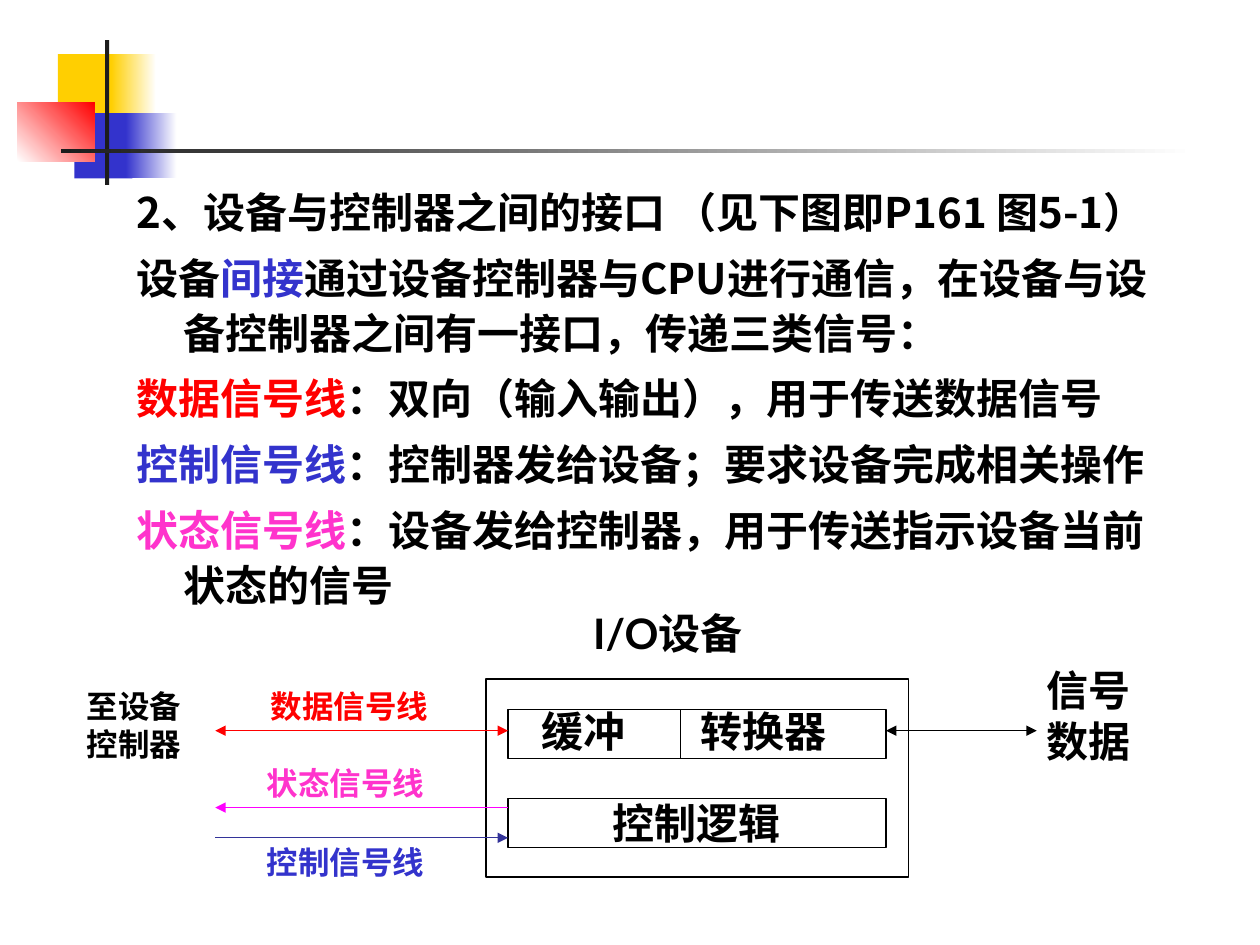
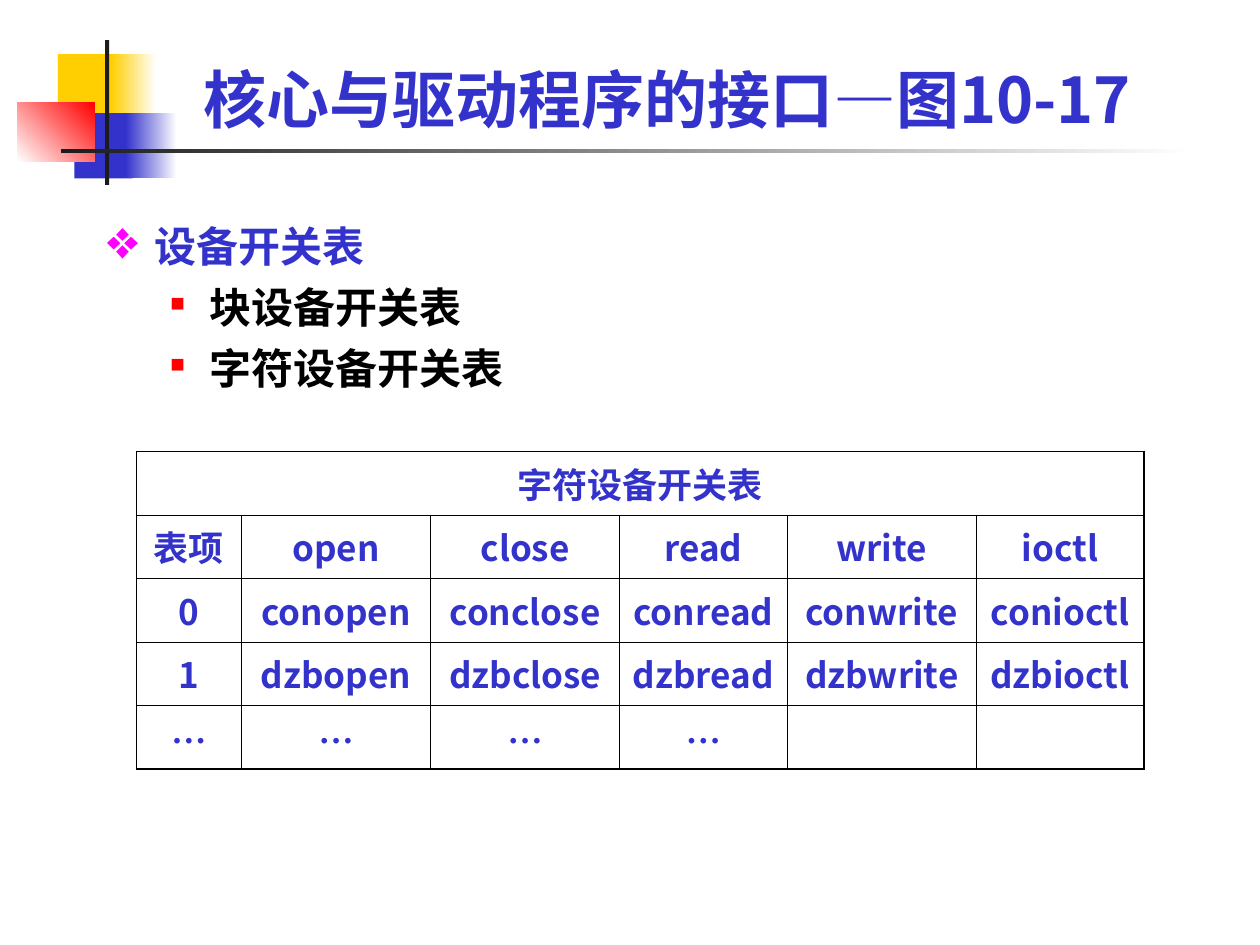
from dataclasses import dataclass

from lxml.etree import SubElement
from pptx import Presentation
from pptx.dml.color import RGBColor
from pptx.enum.shapes import MSO_CONNECTOR as Connector, MSO_SHAPE as Shape
from pptx.enum.text import MSO_ANCHOR as Anchor, PP_ALIGN as Align
from pptx.oxml.ns import qn
from pptx.util import Cm, Pt


@dataclass(frozen=True)
class Theme:
    black: str = "000000"
    white: str = "FFFFFF"
    ink: str = "1C1C1C"
    blue: str = "3333CC"
    navy: str = "333399"
    red: str = "FF0000"
    pink: str = "FF33CC"
    magenta: str = "FF00FF"
    yellow: str = "FFCF01"
    sans: str = "Lato"
    chinese: str = "Noto Sans CJK SC"
    serif: str = "Times New Roman"
    title: int = 36
    body: int = 24
    cell: int = 20
    label: int = 18


THEME = Theme()

DECORATION = [
    ((1.17, 1.09, 1.22, 1.32), THEME.yellow, None, 0),
    ((2.24, 1.09, 0.91, 1.32), THEME.yellow, THEME.white, 0),
    ((1.5, 2.28, 1.17, 1.32), THEME.blue, None, 0),
    ((2.54, 2.28, 1.02, 1.32), THEME.blue, THEME.white, 0),
    ((0.35, 2.07, 1.56, 1.18), THEME.white, THEME.red, 45),
    ((2.12, 0.81, 0.08, 2.92), THEME.ink, None, 0),
    ((1.23, 3, 22.86, 0.08), THEME.ink, THEME.white, 0),
]

INTERFACE_TEXT = [
    [("2、设备与控制器之间的接口 （见下图即P161 图5-1）", THEME.black)],
    [("设备", THEME.black), ("间接", THEME.blue),
     ("通过设备控制器与CPU进行通信，在设备与设备控制器之间有一接口，传递三类信号：", THEME.black)],
    [("数据信号线", THEME.red), ("：双向（输入输出），用于传送数据信号", THEME.black)],
    [("控制信号线", THEME.blue), ("：控制器发给设备；要求设备完成相关操作", THEME.black)],
    [("状态信号线", THEME.pink),
     ("：设备发给控制器，用于传送指示设备当前状态的信号", THEME.black)],
]

DEVICE_FRAME = (9.8, 13.69, 8.51, 3.99)
BUFFER_FRAME = (10.24, 14.3, 7.62, 0.99)
LOGIC_FRAME = (10.24, 16.1, 7.62, 0.99)
DIVIDER_X = 13.72

DIAGRAM_LABELS = [
    ((11.71, 12.12, 4, 1.27), ["I/O设备"], THEME.body, THEME.black),
    ((10.67, 14.1, 2.41, 1.27), ["缓冲"], THEME.body, THEME.black),
    ((13.87, 14.1, 3.3, 1.27), ["转换器"], THEME.body, THEME.black),
    ((20.85, 13.28, 2.5, 2.29), ["信号", "数据"], THEME.body, THEME.black),
    ((5.21, 13.72, 3.9, 1.02), ["数据信号线"], THEME.label, THEME.red),
    ((5.13, 15.27, 3.9, 1.02), ["状态信号线"], THEME.label, THEME.pink),
    ((5.13, 16.87, 3.9, 1.02), ["控制信号线"], THEME.label, THEME.blue),
    ((1.5, 13.72, 2.6, 1.78), ["至设备", "控制器"], THEME.label, THEME.black),
]

SIGNAL_LINES = [
    (17.86, 20.9, 14.73, THEME.black, ("headEnd", "tailEnd")),
    (4.34, 10.24, 14.73, THEME.red, ("headEnd", "tailEnd")),
    (4.34, 10.24, 16.28, THEME.magenta, ("headEnd",)),
    (4.34, 10.24, 16.89, THEME.navy, ("tailEnd",)),
]

TITLE = [[("核心与驱动程序的接口", THEME.blue), ("—", THEME.blue, THEME.serif, THEME.chinese),
          ("图10-17", THEME.blue)]]
SWITCH_TABLES = [
    (0, "设备开关表", THEME.blue),
    (1, "块设备开关表", THEME.black),
    (1, "字符设备开关表", THEME.black),
]
BULLETS = [
    dict(left=0.95, hang=0.95, char="❖", color=THEME.magenta, percent=130),
    dict(left=2.06, hang=0.79, char="■", color=THEME.red, percent=48),
]

TABLE_ROWS = [
    ["字符设备开关表", "", "", "", "", ""],
    ["表项", "open", "close", "read", "write", "ioctl"],
    ["0", "conopen", "conclose", "conread", "conwrite", "conioctl"],
    ["1", "dzbopen", "dzbclose", "dzbread", "dzbwrite", "dzbioctl"],
    ["…", "…", "…", "…", "", ""],
]
COLUMN_WIDTHS = [2.12, 3.81, 3.81, 3.38, 3.81, 3.38]
ROW_HEIGHT = 1.28


def color_of(value):
    return RGBColor.from_string(value)


def lengths(values):
    return [Cm(value) for value in values]


def write_text(frame, paragraphs, size=THEME.body, font=THEME.sans, align=None,
               anchor=Anchor.TOP, before=0, line=None, hang=0, bullets=None):
    frame.word_wrap = True
    frame.vertical_anchor = anchor
    for index, spans in enumerate(paragraphs):
        para = frame.paragraphs[0] if index == 0 else frame.add_paragraph()
        if bullets:
            add_bullet(para, **bullets[index])
        elif hang:
            set_indent(para, hang, hang)
        para.alignment = align
        para.space_before = Pt(before if index else 0)
        if line:
            para.line_spacing = line
        for text, color, *special in spans:
            span = para.add_run()
            span.text = text
            span.font.size = Pt(size)
            span.font.bold = True
            span.font.color.rgb = color_of(color)
            latin, east = special or (font, font)
            span.font.name = latin
            SubElement(span.font._element, qn("a:ea"), typeface=east)


def set_indent(para, left, hang):
    properties = para._p.get_or_add_pPr()
    properties.set("marL", str(Cm(left)))
    properties.set("indent", str(-Cm(hang)))
    return properties


def add_bullet(para, left, hang, char, color, percent):
    properties = set_indent(para, left, hang)
    bullet_color = SubElement(properties, qn("a:buClr"))
    SubElement(bullet_color, qn("a:srgbClr"), val=color)
    SubElement(properties, qn("a:buSzPct"), val=str(percent * 1000))
    SubElement(properties, qn("a:buChar"), char=char)


def add_text(page, place, paragraphs, **format):
    box = page.shapes.add_textbox(*lengths(place))
    write_text(box.text_frame, paragraphs, **format)


def add_box(page, place):
    box = page.shapes.add_shape(Shape.RECTANGLE, *lengths(place))
    box.shadow.inherit = False
    return box


def add_outline(page, place):
    box = add_box(page, place)
    box.fill.background()
    box.line.color.rgb = color_of(THEME.black)
    box.line.width = Pt(0.75)
    return box


def add_line(page, start, end, color, arrows=()):
    line = page.shapes.add_connector(Connector.STRAIGHT, *lengths(start + end))
    line.line.color.rgb = color_of(color)
    line.line.width = Pt(0.75)
    for arrow in arrows:
        SubElement(line.line._get_or_add_ln(), qn(f"a:{arrow}"), type="triangle")
    SubElement(line._element.spPr, qn("a:effectLst"))


def add_page(deck, layout):
    page = deck.slides.add_slide(deck.slide_layouts.get_by_name(layout))
    for place, first, last, angle in DECORATION:
        box = add_box(page, place)
        box.line.fill.background()
        if last:
            box.fill.gradient()
            box.fill.gradient_angle = angle
            for stop, color in zip(box.fill.gradient_stops, (first, last)):
                stop.color.rgb = color_of(color)
        else:
            box.fill.solid()
            box.fill.fore_color.rgb = color_of(first)
    return page


def build_interface_page(deck):
    page = add_page(deck, "Blank")
    add_text(page, (2.5, 3.54, 21.45, 13.97), INTERFACE_TEXT, font=THEME.chinese,
             before=6, line=Pt(31.5), hang=0.95)
    add_outline(page, DEVICE_FRAME)
    logic = add_outline(page, LOGIC_FRAME)
    write_text(logic.text_frame, [[("控制逻辑", THEME.black)]], align=Align.CENTER,
               anchor=Anchor.MIDDLE)
    add_outline(page, BUFFER_FRAME)
    _, top, _, height = BUFFER_FRAME
    add_line(page, (DIVIDER_X, top), (DIVIDER_X, top + height), THEME.black)
    for left, right, level, color, arrows in SIGNAL_LINES:
        add_line(page, (left, level), (right, level), color, arrows)
    for place, rows, size, color in DIAGRAM_LABELS:
        add_text(page, place, [[(row, color)] for row in rows], size=size)


def set_borders(cell, row, column):
    edges = {"lnL": column == 0, "lnR": row == 0 or column == len(COLUMN_WIDTHS) - 1,
             "lnT": row == 0, "lnB": row == len(TABLE_ROWS) - 1}
    properties = cell._tc.get_or_add_tcPr()
    for edge, outer in edges.items():
        width = Pt(1.08 if outer else 0.45)
        border = SubElement(properties, qn(f"a:{edge}"), w=str(width))
        fill = SubElement(border, qn("a:solidFill"))
        SubElement(fill, qn("a:srgbClr"), val=THEME.black)


def add_switch_table(page):
    place = (2.75, 9.1, sum(COLUMN_WIDTHS), ROW_HEIGHT * len(TABLE_ROWS))
    table = page.shapes.add_table(len(TABLE_ROWS), len(COLUMN_WIDTHS), *lengths(place)).table
    table.first_row = table.horz_banding = False
    for column, width in zip(table.columns, COLUMN_WIDTHS):
        column.width = Cm(width)
    table.cell(0, 0).merge(table.cell(0, len(COLUMN_WIDTHS) - 1))
    for row, texts in enumerate(TABLE_ROWS):
        table.rows[row].height = Cm(ROW_HEIGHT)
        for column, text in enumerate(texts):
            cell = table.cell(row, column)
            set_borders(cell, row, column)
            cell.fill.background()
            if text:
                fonts = (THEME.serif, THEME.chinese) if text == "…" else ()
                write_text(cell.text_frame, [[(text, THEME.blue, *fonts)]], size=THEME.cell,
                           font=THEME.chinese, align=Align.CENTER)


def build_switch_page(deck):
    page = add_page(deck, "Title Only")
    title = page.shapes.title
    title.left, title.top, title.width, title.height = lengths((3.84, 0.9, 20.1, 1.98))
    write_text(title.text_frame, TITLE, size=THEME.title, font=THEME.chinese,
               align=Align.LEFT, anchor=Anchor.BOTTOM)
    add_text(page, (1.91, 4.32, 21.89, 4.5),
             [[(text, color)] for _, text, color in SWITCH_TABLES], before=6,
             bullets=[BULLETS[level] for level, _, _ in SWITCH_TABLES])
    add_switch_table(page)


def main():
    deck = Presentation()
    deck.slide_width, deck.slide_height = lengths((25.4, 19.05))
    build_interface_page(deck)
    build_switch_page(deck)
    deck.save("out.pptx")


if __name__ == "__main__":
    main()
